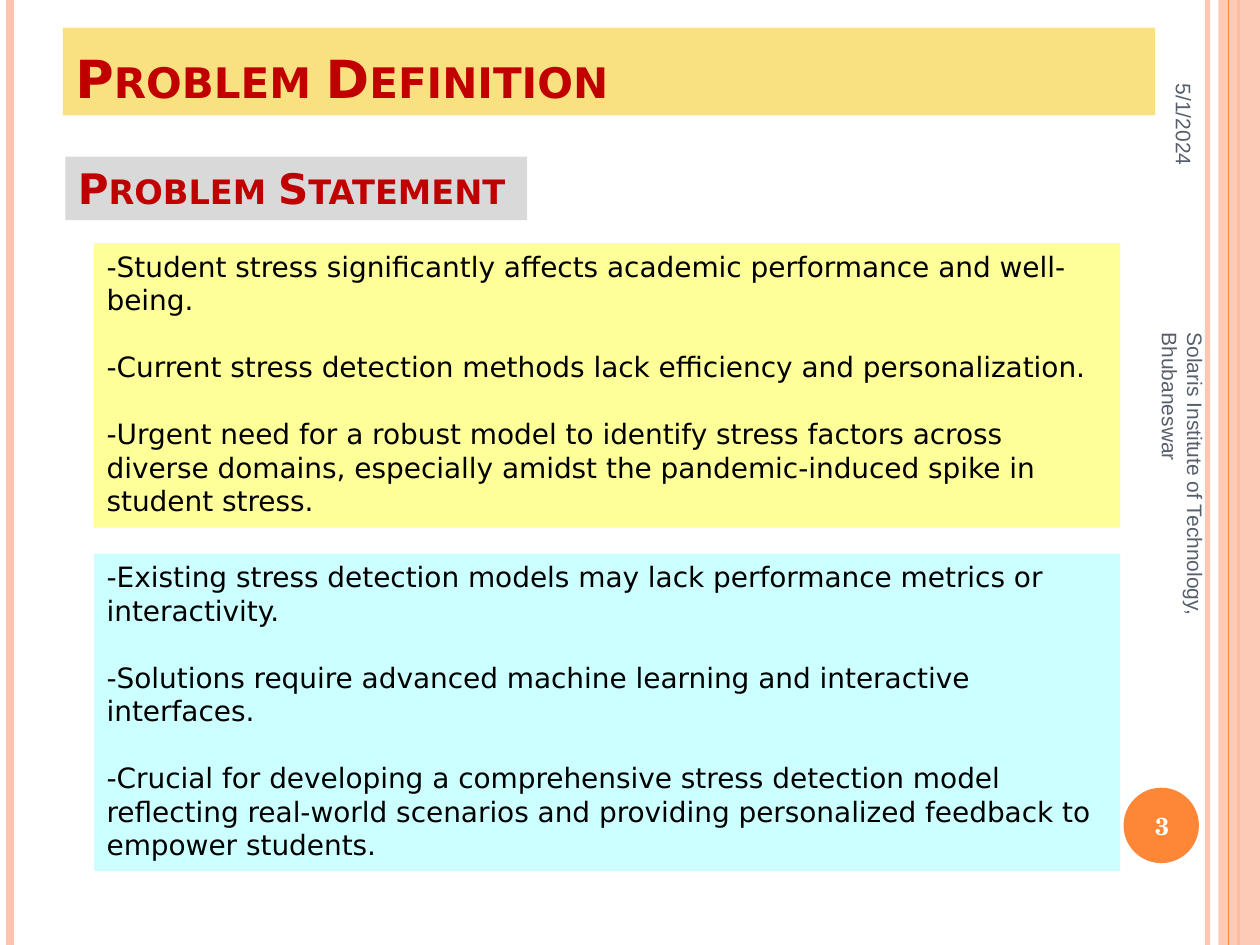
from pptx import Presentation
from pptx.dml.color import RGBColor
from pptx.enum.shapes import MSO_CONNECTOR, MSO_SHAPE
from pptx.enum.text import MSO_ANCHOR, PP_ALIGN
from pptx.oxml.ns import qn
from pptx.util import Cm, Pt
from lxml.etree import SubElement

SANS = "DejaVu Sans"
RED, SLATE = "C00000", "575F6D"
PEACH, ORANGE = "FEC3AE", "FE8637"
STRESS = [
    "-Student stress significantly affects academic performance and well-being.",
    "-Current stress detection methods lack efficiency and personalization.",
    "-Urgent need for a robust model to identify stress factors across diverse domains, "
    "especially amidst the pandemic-induced spike in student stress.",
]
MODEL = [
    "-Existing stress detection models may lack performance metrics or interactivity.",
    "-Solutions require advanced machine learning and interactive interfaces.",
    "-Crucial for developing a comprehensive stress detection model reflecting real-world "
    "scenarios and providing personalized feedback to empower students.",
]


def color(code):
    return RGBColor.from_string(code)


def fade(fill, share):
    tint = fill._xPr.find(qn("a:solidFill"))[0]
    SubElement(tint, qn("a:alpha")).set("val", str(share * 1000))


def block(slide, box, code, kind=MSO_SHAPE.RECTANGLE):
    shape = slide.shapes.add_shape(kind, *map(Cm, box))
    shape.shadow.inherit = False
    shape.fill.solid()
    shape.fill.fore_color.rgb = color(code)
    shape.line.fill.background()
    return shape


def rule(slide, x, top, high, code, width):
    line = slide.shapes.add_connector(
        MSO_CONNECTOR.STRAIGHT, Cm(x), Cm(top), Cm(x), Cm(top + high))
    line.line.color.rgb = color(code)
    line.line.width = Pt(width)
    SubElement(line._element.spPr, qn("a:effectLst"))
    return line


def write(shape, lines, size, code, face=SANS, bold=False, align=PP_ALIGN.LEFT,
          anchor=MSO_ANCHOR.TOP, gap=0):
    frame = shape.text_frame
    frame.word_wrap = True
    frame.vertical_anchor = anchor
    frame.text = "\n".join(lines)
    for index, para in enumerate(frame.paragraphs):
        para.alignment = align
        para.space_before = Pt(gap if index else 0)
        font = para.font
        font.name, font.size, font.bold = face, Pt(size), bold
        font.color.rgb = color(code)


def label(slide, box, text, size, code, turn=0, **style):
    shape = slide.shapes.add_textbox(*map(Cm, box))
    shape.rotation = turn
    write(shape, [text], size, code, anchor=MSO_ANCHOR.MIDDLE, **style)


def frame(slide, box):
    left, top, wide, high = box
    right = left + wide
    edge = rule(slide, right - 1.06, top, high, PEACH, 3)
    fade(edge.line.fill, 93)
    rule(slide, left + 0.21, top, high, PEACH, 4.5)
    rule(slide, right - 0.43, top, high, ORANGE, 1.5)
    band = block(slide, (right - 0.84, top, 0.84, high), PEACH)
    fade(band.fill, 87)
    rule(slide, right - 0.64, top, high, ORANGE, 0.75)


def heading(slide, box, text, size, code, anchor):
    shape = block(slide, box, code)
    write(shape, [text], size, RED, bold=True, anchor=anchor)
    for run in shape.text_frame.paragraphs[0].runs:
        run._r.get_or_add_rPr().set("cap", "small")


def panel(slide, box, lines, code):
    write(block(slide, box, code), lines, 16, "000000", gap=19)


def footer(slide, box):
    left, top, wide, high = box
    block(slide, (left + 0.2, top + 15.88, 1.52, 1.52), ORANGE, MSO_SHAPE.OVAL)
    label(slide, (left, top + 1.63, 2.84, 1.07), "5/1/2024", 12, SLATE, 90,
          face="Arial", align=PP_ALIGN.RIGHT)
    label(slide, (left + 0.13, top + 15.93, 1.7, 1.45), "3", 14, "FFFFFF",
          face="TeX Gyre Schola", bold=True, align=PP_ALIGN.CENTER)
    label(slide, (left - 3.05, top + 10.39, 8.89, 1.02),
          "Solaris Institute of Technology, Bhubaneswar", 12, SLATE, 90, face="Arial")


def main():
    deck = Presentation()
    deck.slide_width, deck.slide_height = Cm(25.4), Cm(19.05)
    slide = deck.slides.add_slide(deck.slide_layouts[6])
    frame(slide, (0, 0, 25.4, 19.05))
    heading(slide, (1.27, 0.56, 22.02, 1.77), "Problem Definition", 30, "F9E181",
            MSO_ANCHOR.BOTTOM)
    heading(slide, (1.32, 3.16, 9.31, 1.28), "Problem Statement", 24, "D9D9D9",
            MSO_ANCHOR.TOP)
    panel(slide, (1.9, 4.9, 20.68, 5.74), STRESS, "FFFF99")
    panel(slide, (1.9, 11.16, 20.68, 6.4), MODEL, "CCFFFF")
    footer(slide, (22.45, 0, 2.95, 19.05))
    deck.save("out.pptx")


if __name__ == "__main__":
    main()
